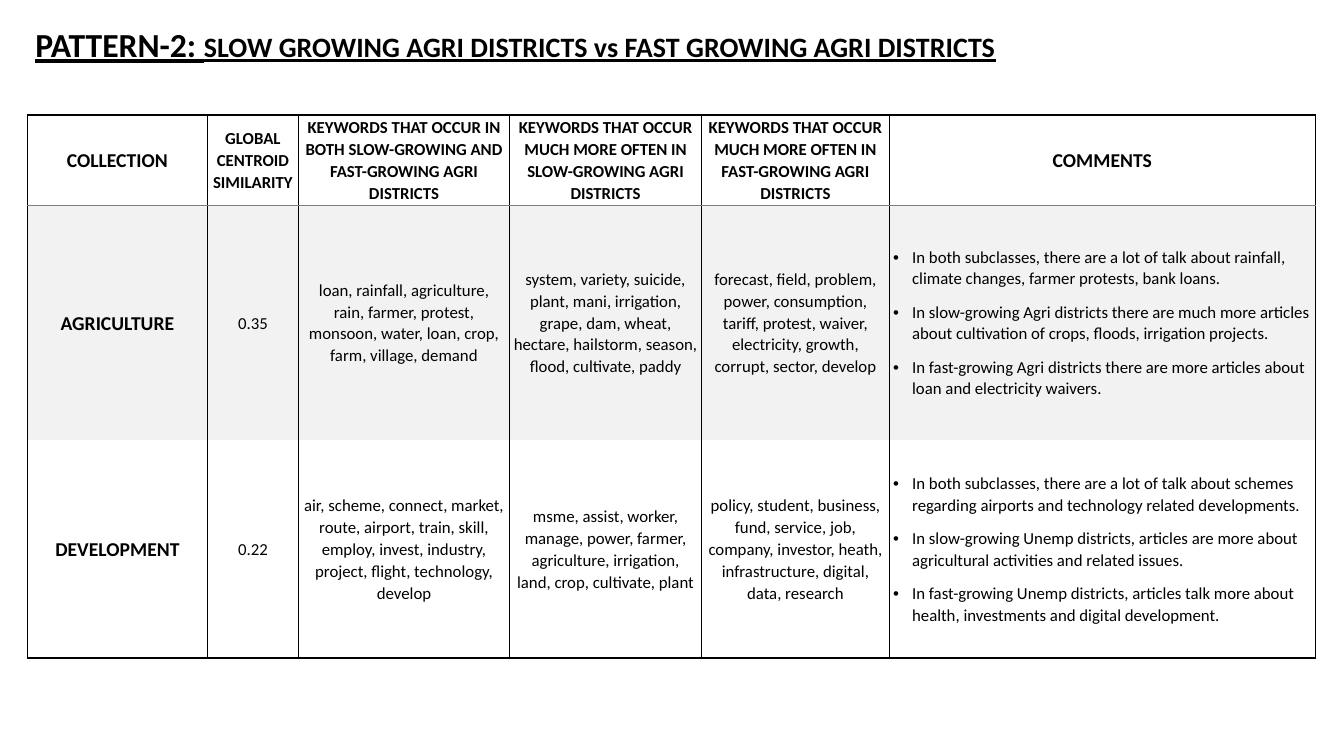
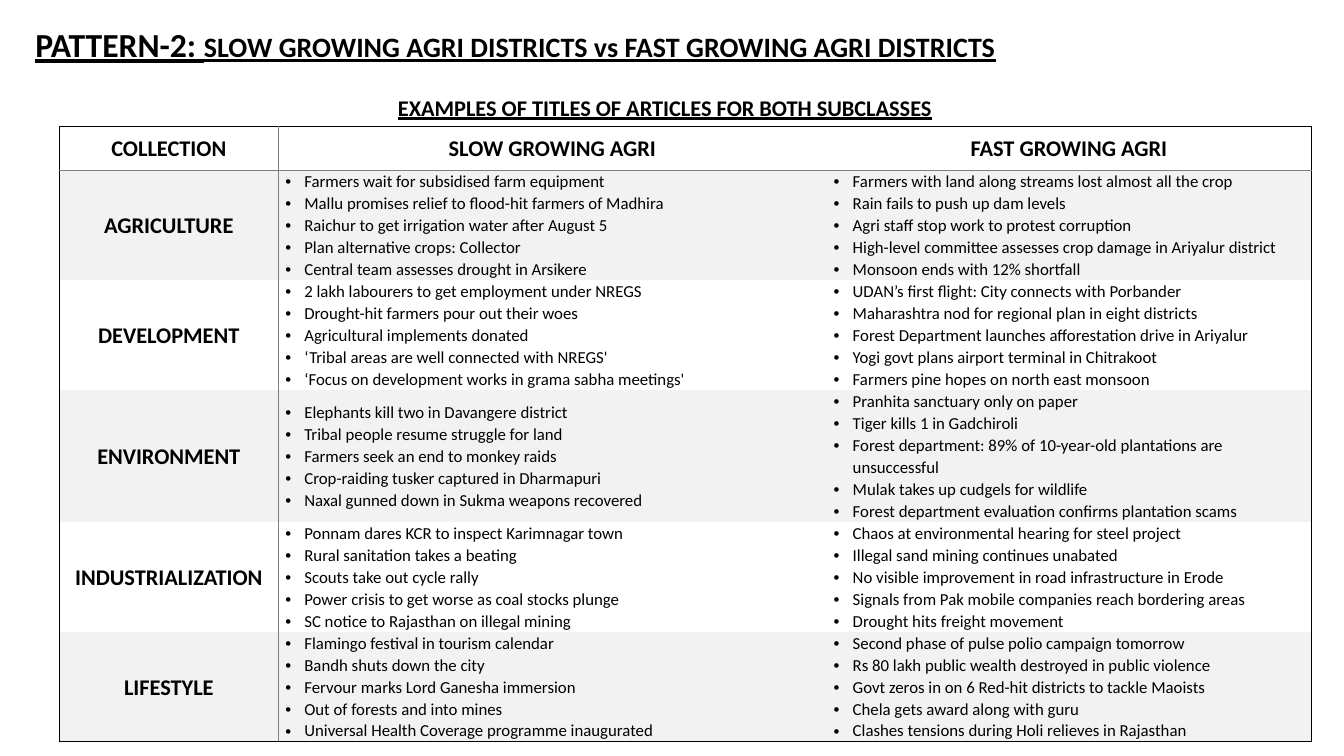
"""Build two slides comparing slow and fast growing agri districts."""
from lxml import etree
from pptx import Presentation
from pptx.dml.color import RGBColor
from pptx.enum import text
from pptx.oxml.ns import qn
from pptx.util import Cm, Pt

FONT, BLACK, GREY, BAND, WHITE = "Calibri", "000000", "7F7F7F", "F2F2F2", "FFFFFF"
LINE_SPACING = 1.07
BULLET_INDENT = Cm(0.48)

TITLE = [("PATTERN-2: ", 24),
         ("SLOW GROWING AGRI DISTRICTS vs FAST GROWING AGRI DISTRICTS", 20)]
TITLE_BOX = (0.64, 0.48, 27.15, 1.27)
SUBTITLE = [("EXAMPLES OF TITLES OF ARTICLES FOR BOTH SUBCLASSES", 16)]
SUBTITLE_BOX = (9.78, 2.24, 14.33, 0.94)

KEYWORDS = {
    "position": (0.7, 2.9),
    "widths": [4.52, 2.31, 5.31, 4.85, 4.72, 10.75],
    "heights": [2.28, 5.9, 5.5],
    "header_sizes": [14, 12, 12, 12, 12, 14],
    "label_size": 14,
    "side_margins": [0.1, 0, 0.1, 0.1, 0.1, 0.1],
    "bullet_gap": 8,
    "dividers": {column: BLACK for column in range(1, 6)},
    "rows": [
        ["COLLECTION", "GLOBAL CENTROID SIMILARITY",
         "KEYWORDS THAT OCCUR IN BOTH SLOW-GROWING AND FAST-GROWING AGRI DISTRICTS",
         "KEYWORDS THAT OCCUR MUCH MORE OFTEN IN SLOW-GROWING AGRI DISTRICTS",
         "KEYWORDS THAT OCCUR MUCH MORE OFTEN IN FAST-GROWING AGRI DISTRICTS",
         "COMMENTS"],
        ["AGRICULTURE", "0.35",
         "loan, rainfall, agriculture, rain, farmer, protest, monsoon, water, loan, crop, "
         "farm, village, demand",
         "system, variety, suicide, plant, mani, irrigation, grape, dam, wheat, hectare, "
         "hailstorm, season, flood, cultivate, paddy",
         "forecast, field, problem, power, consumption, tariff, protest, waiver, "
         "electricity, growth, corrupt, sector, develop",
         ["In both subclasses, there are a lot of talk about rainfall, climate changes, "
          "farmer protests, bank loans.",
          "In slow-growing Agri districts there are much more articles about cultivation "
          "of crops, floods, irrigation projects.",
          "In fast-growing Agri districts there are more articles about loan and "
          "electricity waivers."]],
        ["DEVELOPMENT", "0.22",
         "air, scheme, connect, market, route, airport, train, skill, employ, invest, "
         "industry, project, flight, technology, develop",
         "msme, assist, worker, manage, power, farmer, agriculture, irrigation, land, "
         "crop, cultivate, plant",
         "policy, student, business, fund, service, job, company, investor, heath, "
         "infrastructure, digital, data, research",
         ["In both subclasses, there are a lot of talk about schemes regarding airports "
          "and technology related developments.",
          "In slow-growing Unemp districts, articles are more about agricultural "
          "activities and related issues.",
          "In fast-growing Unemp districts, articles talk more about health, investments "
          "and digital development."]],
    ],
}

ARTICLES = {
    "position": (1.5, 3.18),
    "widths": [5.51, 13.82, 12.22],
    "heights": [1.11, 2.77, 2.77, 3.32, 2.77, 2.77],
    "header_sizes": [16] * 3,
    "label_size": 16,
    "side_margins": [0.18] * 3,
    "bullet_gap": 0,
    "dividers": {1: GREY},
    "rows": [
        ["COLLECTION", "SLOW GROWING AGRI", "FAST GROWING AGRI"],
        ["AGRICULTURE",
         ["Farmers wait for subsidised farm equipment",
          "Mallu promises relief to flood-hit farmers of Madhira",
          "Raichur to get irrigation water after August 5",
          "Plan alternative crops: Collector",
          "Central team assesses drought in Arsikere"],
         ["Farmers with land along streams lost almost all the crop",
          "Rain fails to push up dam levels",
          "Agri staff stop work to protest corruption",
          "High-level committee assesses crop damage in Ariyalur district",
          "Monsoon ends with 12% shortfall"]],
        ["DEVELOPMENT",
         ["2 lakh labourers to get employment under NREGS",
          "Drought-hit farmers pour out their woes",
          "Agricultural implements donated",
          "‘Tribal areas are well connected with NREGS'",
          "‘Focus on development works in grama sabha meetings'"],
         ["UDAN’s first flight: City connects with Porbander",
          "Maharashtra nod for regional plan in eight districts",
          "Forest Department launches afforestation drive in Ariyalur",
          "Yogi govt plans airport terminal in Chitrakoot",
          "Farmers pine hopes on north east monsoon"]],
        ["ENVIRONMENT",
         ["Elephants kill two in Davangere district",
          "Tribal people resume struggle for land",
          "Farmers seek an end to monkey raids",
          "Crop-raiding tusker captured in Dharmapuri",
          "Naxal gunned down in Sukma weapons recovered"],
         ["Pranhita sanctuary only on paper",
          "Tiger kills 1 in Gadchiroli",
          "Forest department: 89% of 10-year-old plantations are unsuccessful",
          "Mulak takes up cudgels for wildlife",
          "Forest department evaluation confirms plantation scams"]],
        ["INDUSTRIALIZATION",
         ["Ponnam dares KCR to inspect Karimnagar town",
          "Rural sanitation takes a beating",
          "Scouts take out cycle rally",
          "Power crisis to get worse as coal stocks plunge",
          "SC notice to Rajasthan on illegal mining"],
         ["Chaos at environmental hearing for steel project",
          "Illegal sand mining continues unabated",
          "No visible improvement in road infrastructure in Erode",
          "Signals from Pak mobile companies reach bordering areas",
          "Drought hits freight movement"]],
        ["LIFESTYLE",
         ["Flamingo festival in tourism calendar",
          "Bandh shuts down the city",
          "Fervour marks Lord Ganesha immersion",
          "Out of forests and into mines",
          "Universal Health Coverage programme inaugurated"],
         ["Second phase of pulse polio campaign tomorrow",
          "Rs 80 lakh public wealth destroyed in public violence",
          "Govt zeros in on 6 Red-hit districts to tackle Maoists",
          "Chela gets award along with guru",
          "Clashes tensions during Holi relieves in Rajasthan"]],
    ],
}


def color(value):
    """Turn a hex string into a colour."""
    return RGBColor.from_string(value)


def add_text(paragraph, content, size=12, bold=False, underline=False):
    """Append a formatted run to a paragraph."""
    run = paragraph.add_run()
    run.text = content
    font = run.font
    font.name, font.size, font.bold, font.underline = FONT, Pt(size), bold, underline
    font.color.rgb = color(BLACK)


def add_heading(slide, runs, box):
    """Add a bold underlined heading made of (text, size) runs."""
    frame = slide.shapes.add_textbox(*map(Cm, box)).text_frame
    frame.word_wrap = True
    for content, size in runs:
        add_text(frame.paragraphs[0], content, size=size, bold=True, underline=True)


def add_bullet(paragraph):
    """Give a paragraph a hanging round bullet."""
    properties = paragraph._p.get_or_add_pPr()
    properties.set("marL", str(BULLET_INDENT))
    properties.set("indent", str(-BULLET_INDENT))
    etree.SubElement(properties, qn("a:buFont"), typeface="Arial")
    etree.SubElement(properties, qn("a:buChar"), char="•")


def set_borders(cell, **edges):
    """Draw each edge in its colour, or hide it when the colour is None."""
    properties = cell._tc.get_or_add_tcPr()
    for side in "LRTB":
        line = etree.SubElement(properties, qn(f"a:ln{side}"), w=str(Pt(1)))
        if edges[side]:
            fill = etree.SubElement(line, qn("a:solidFill"))
            etree.SubElement(fill, qn("a:srgbClr"), val=edges[side])
        else:
            etree.SubElement(line, qn("a:noFill"))


def fill_cell(cell, content, size, bold, gap):
    """Write a centred text, or a list of bullets, into a cell."""
    bulleted = isinstance(content, list)
    frame = cell.text_frame
    for index, line in enumerate(content if bulleted else [content]):
        paragraph = frame.add_paragraph() if index else frame.paragraphs[0]
        paragraph.line_spacing = LINE_SPACING
        if bulleted:
            paragraph.space_before = Pt(gap if index else 0)
            add_bullet(paragraph)
        else:
            paragraph.alignment = text.PP_ALIGN.CENTER
        add_text(paragraph, line, size=size, bold=bold)


def add_comparison(slide, data):
    """Add a banded table with a framed header row."""
    rows, widths, heights = data["rows"], data["widths"], data["heights"]
    sizes = (*data["position"], sum(widths), sum(heights))
    table = slide.shapes.add_table(len(rows), len(widths), *map(Cm, sizes)).table
    table.first_row = table.horz_banding = False
    for column, width in zip(table.columns, widths):
        column.width = Cm(width)
    for row, height in zip(table.rows, heights):
        row.height = Cm(height)
    across = {0: BLACK, 1: GREY, len(rows): BLACK}
    down = {0: BLACK, len(widths): BLACK, **data["dividers"]}
    for r, row in enumerate(rows):
        for c, content in enumerate(row):
            cell = table.cell(r, c)
            cell.vertical_anchor = text.MSO_ANCHOR.MIDDLE
            cell.margin_left = cell.margin_right = Cm(data["side_margins"][c])
            cell.margin_top = cell.margin_bottom = 0
            set_borders(cell, L=down.get(c), R=down.get(c + 1),
                        T=across.get(r), B=across.get(r + 1))
            cell.fill.solid()
            cell.fill.fore_color.rgb = color(BAND if r % 2 else WHITE)
            if r == 0:
                size = data["header_sizes"][c]
            else:
                size = 12 if c else data["label_size"]
            fill_cell(cell, content, size, r == 0 or c == 0, data["bullet_gap"])


def add_slide(presentation, data):
    """Add a blank slide with the shared title and a table."""
    slide = presentation.slides.add_slide(presentation.slide_layouts[6])
    add_heading(slide, TITLE, TITLE_BOX)
    add_comparison(slide, data)
    return slide


def main():
    """Build and save the presentation."""
    presentation = Presentation()
    presentation.slide_width, presentation.slide_height = Cm(33.87), Cm(19.05)
    add_slide(presentation, KEYWORDS)
    add_heading(add_slide(presentation, ARTICLES), SUBTITLE, SUBTITLE_BOX)
    presentation.save("out.pptx")


if __name__ == "__main__":
    main()
